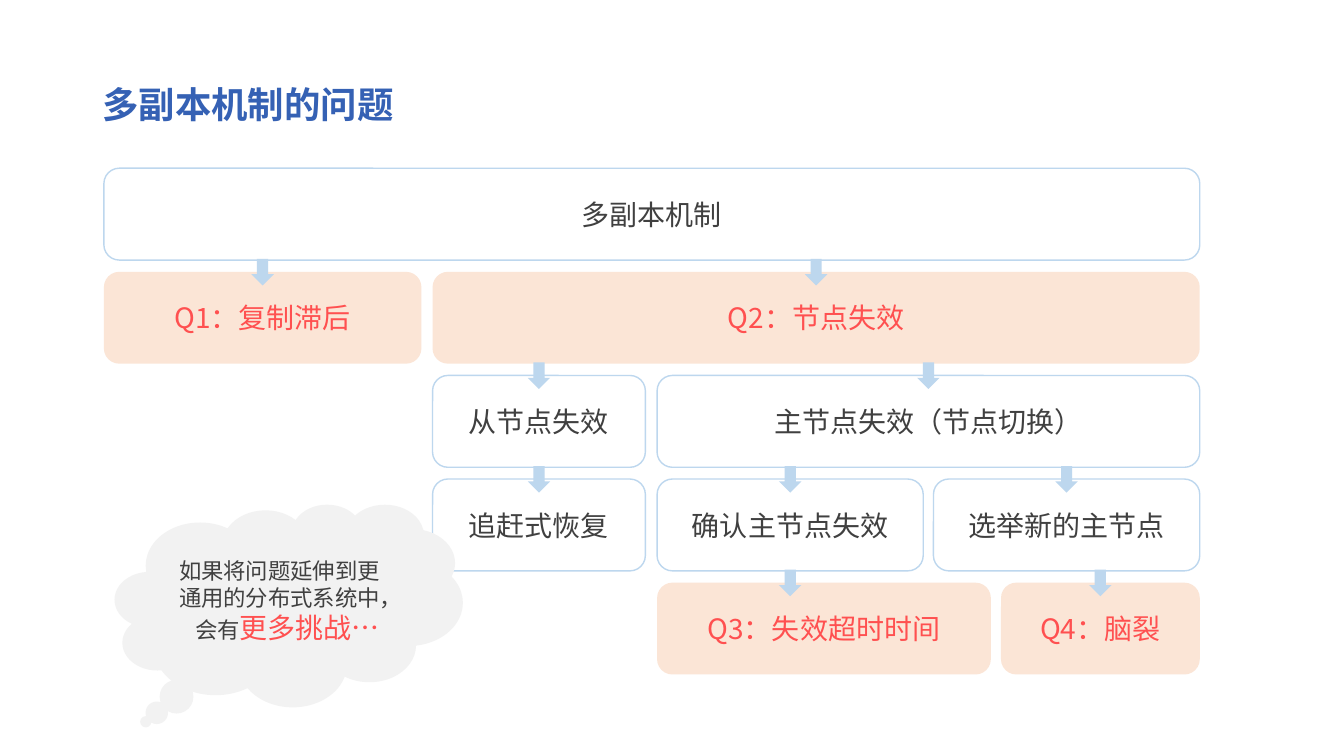
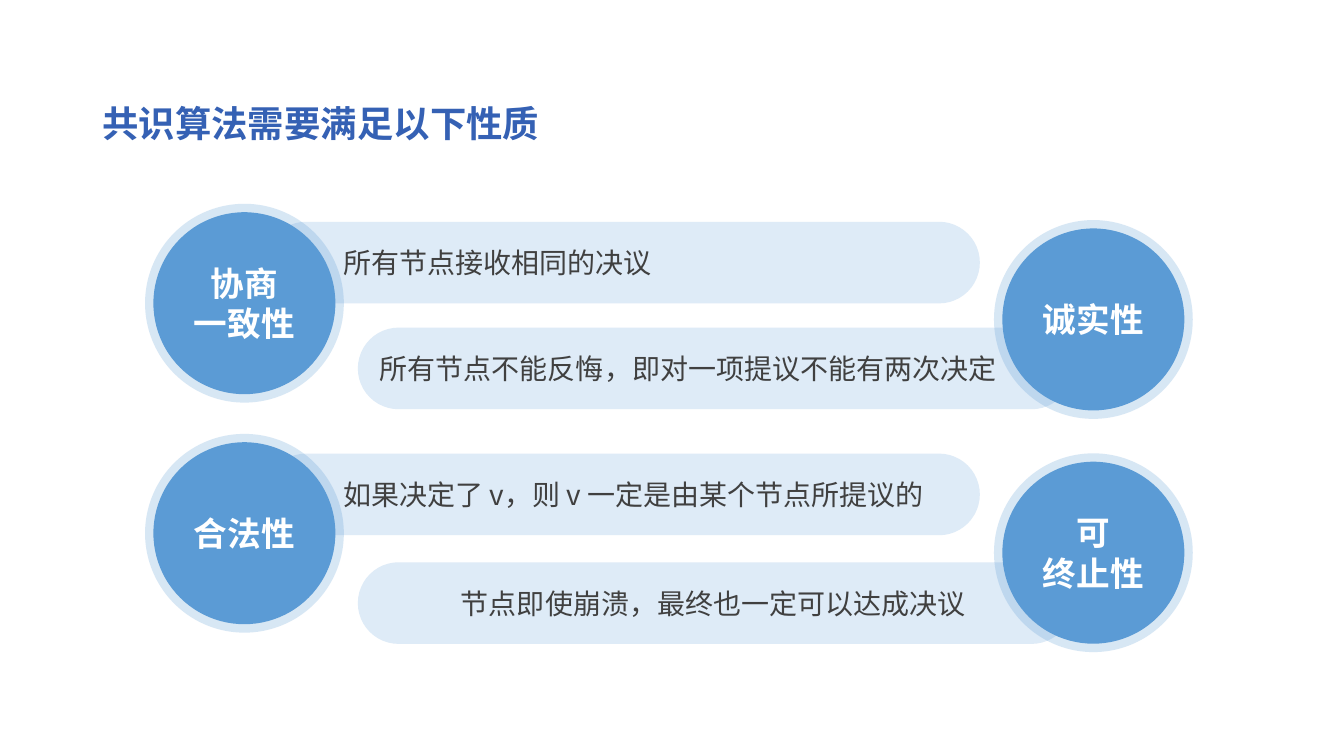
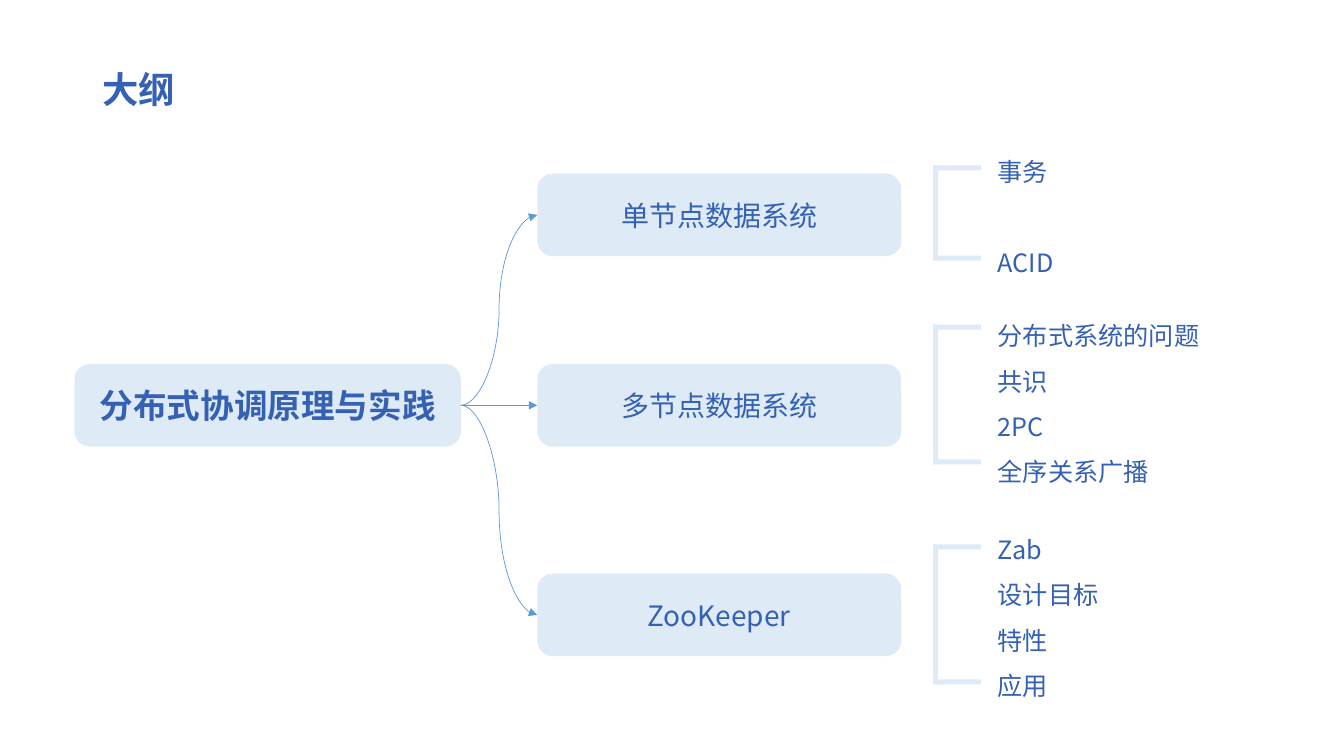
from dataclasses import dataclass

from lxml.etree import SubElement
from pptx import Presentation
from pptx.dml.color import RGBColor
from pptx.enum.shapes import MSO_CONNECTOR, MSO_SHAPE
from pptx.enum.text import MSO_ANCHOR, PP_ALIGN
from pptx.oxml.ns import qn
from pptx.util import Pt


@dataclass(frozen=True)
class Theme:
    font: str = "Noto Sans CJK SC"
    title: str = "3561B4"
    ink: str = "404040"
    alert: str = "FF5050"
    white: str = "FFFFFF"
    blue: str = "5B9BD5"
    sky: str = "BDD7EE"
    pale: str = "DEEBF7"
    peach: str = "FBE5D6"
    cloud: str = "F2F2F2"
    title_size: float = 26
    head_size: float = 24
    body_size: float = 20
    list_size: float = 18
    note_size: float = 16


T = Theme()


def rgb(color):
    return RGBColor.from_string(color)


def style_run(r, size, color, bold=False):
    r.font.name = T.font
    r.font.size = Pt(size)
    r.font.bold = bold
    r.font.color.rgb = rgb(color)
    SubElement(r.font._element, qn("a:ea")).set("typeface", T.font)


def write(sp, text, size, color, bold=False, align=PP_ALIGN.CENTER,
          anchor=MSO_ANCHOR.MIDDLE):
    """Fill a shape with text, one paragraph for each line."""
    tf = sp.text_frame
    tf.word_wrap = True
    tf.vertical_anchor = anchor
    tf.text = text
    for p in tf.paragraphs:
        p.alignment = align
        for r in p.runs:
            style_run(r, size, color, bold)
    return tf


def add_box(shapes, kind, x, y, w, h, fill=None, line=None, adj=()):
    sp = shapes.add_shape(kind, Pt(x), Pt(y), Pt(w), Pt(h))
    sp.shadow.inherit = False
    if fill:
        sp.fill.solid()
        sp.fill.fore_color.rgb = rgb(fill)
    else:
        sp.fill.background()
    if line:
        sp.line.color.rgb = rgb(line)
        sp.line.width = Pt(1)
    else:
        sp.line.fill.background()
    for i, value in enumerate(adj):
        sp.adjustments[i] = value
    return sp


def add_text(s, x, y, w, h, text, size, bold=False):
    sp = s.shapes.add_textbox(Pt(x), Pt(y), Pt(w), Pt(h))
    return write(sp, text, size, T.title, bold, PP_ALIGN.LEFT, MSO_ANCHOR.TOP)


def new_slide(prs, title, y):
    s = prs.slides.add_slide(prs.slide_layouts[6])
    add_text(s, 66, y, 780, 39, title, T.title_size, bold=True)
    return s


def set_alpha(sp, percent):
    color = sp.fill._xPr.find(qn("a:solidFill"))[0]
    SubElement(color, qn("a:alpha")).set("val", str(percent * 1000))


def add_arrow_curve(s, start, end):
    """Join the right side of one box to the left side of another."""
    c = s.shapes.add_connector(MSO_CONNECTOR.CURVE, 0, 0, 0, 0)
    c.begin_connect(start, 3)
    c.end_connect(end, 1)
    c.line.color.rgb = rgb(T.blue)
    c.line.width = Pt(0.5)
    SubElement(c.line._get_or_add_ln(), qn("a:tailEnd")).set("type", "triangle")
    SubElement(c._element.spPr, qn("a:effectLst"))


def add_property(s, text, indent, bar_x, bar_y, label, disc_x, disc_y):
    """Group a pill of text with a ringed disc over one of its ends."""
    shapes = s.shapes.add_group_shape().shapes
    bar = add_box(shapes, MSO_SHAPE.ROUNDED_RECTANGLE, bar_x, bar_y, 510.5, 58.3,
                  T.pale, adj=(0.5,))
    tf = write(bar, text, T.body_size, T.ink, align=PP_ALIGN.LEFT)
    tf.paragraphs[0]._p.get_or_add_pPr().set("marL", str(Pt(indent)))
    ring, disc = 142, 130
    gap = (ring - disc) / 2
    set_alpha(add_box(shapes, MSO_SHAPE.OVAL, disc_x, disc_y, ring, ring, T.blue), 24)
    sp = add_box(shapes, MSO_SHAPE.OVAL, disc_x + gap, disc_y + gap, disc, disc, T.blue)
    write(sp, label, T.head_size, T.white, bold=True)


def add_bracket(s, y, h):
    x, arm, thick = 666.6, 34, 3.6
    for top, w, height in ((y, arm, thick), (y + h - thick, arm, thick), (y, thick, h)):
        add_box(s.shapes, MSO_SHAPE.RECTANGLE, x, top, w, height, T.pale)


def add_node(s, x, y, w, text, size=T.body_size, bold=False):
    sp = add_box(s.shapes, MSO_SHAPE.ROUNDED_RECTANGLE, x, y, w, 59, T.pale, adj=(0.186,))
    write(sp, text, size, T.title, bold)
    return sp


def replica_slide(prs):
    s = new_slide(prs, "多副本机制的问题", 55.4)
    top, pitch, height = 120.2, 74, 65.6
    left, second, third, right = 74.2, 309, 469.4, 857
    follower_end, confirm_end, elect = 461, 659.5, 666.8
    # row, left, right, text, is a question
    stages = [
        (0, left, right, "多副本机制", False),
        (1, left, 301, "Q1：复制滞后", True),
        (1, second, right, "Q2：节点失效", True),
        (2, second, follower_end, "从节点失效", False),
        (2, third, right, "主节点失效（节点切换）", False),
        (3, second, follower_end, "追赶式恢复", False),
        (3, third, confirm_end, "确认主节点失效", False),
        (3, elect, right, "选举新的主节点", False),
        (4, third, 707.8, "Q3：失效超时时间", True),
        (4, 715, right, "Q4：脑裂", True),
    ]
    for row, x1, x2, text, question in stages:
        sp = add_box(s.shapes, MSO_SHAPE.ROUNDED_RECTANGLE, x1, top + row * pitch,
                     x2 - x1, height, T.peach if question else None,
                     None if question else T.sky)
        write(sp, text, T.body_size, T.alert if question else T.ink)

    for row, x1, x2, text, _ in stages[1:]:
        # The Q3 arrow stays under the middle of the narrower box above it
        end = confirm_end if text.startswith("Q3") else x2
        add_box(s.shapes, MSO_SHAPE.DOWN_ARROW, (x1 + end) / 2 - 8,
                top + row * pitch - 9.3, 16, 19, T.sky)

    cloud = add_box(s.shapes, MSO_SHAPE.CLOUD_CALLOUT, 82, 360, 248.5, 144.7,
                    T.cloud, adj=(-0.411, 0.575))
    tf = write(cloud, "如果将问题延伸到更通用的分布式系统中，会有", T.note_size, T.ink,
               align=PP_ALIGN.RIGHT)
    r = tf.paragraphs[0].add_run()
    r.text = "更多挑战…"
    style_run(r, T.body_size, T.alert)


def consensus_slide(prs):
    s = new_slide(prs, "共识算法需要满足以下性质", 69)
    bar_left, bar_right = 189.4, 255.6
    disc_left, disc_right = 103.6, 710
    for prop in (
        ("所有节点接收相同的决议", 40, bar_left, 158.4,
         "协商\n一致性", disc_left, 145.6),
        ("所有节点不能反悔，即对一项提议不能有两次决定", 0, bar_right, 234,
         "诚实性", disc_right, 157.2),
        ("如果决定了 v，则 v 一定是由某个节点所提议的", 40, bar_left, 324,
         "合法性", disc_left, 309.9),
        ("节点即使崩溃，最终也一定可以达成决议", 58, bar_right, 401.6,
         "可\n终止性", disc_right, 323.8),
    ):
        add_property(s, *prop)


def outline_slide(prs):
    s = new_slide(prs, "大纲", 44.6)
    root = add_node(s, 53.2, 260, 276, "分布式协调原理与实践", T.head_size, bold=True)
    line_height = 32.4
    # text, top, bracket top and height, list top, list, gap between items
    for text, y, bracket_y, bracket_h, list_y, items, gap in (
        ("单节点数据系统", 124, 118.2, 68, 97.2, "事务\nACID", line_height),
        ("多节点数据系统", 260, 231.8, 100, 214.6,
         "分布式系统的问题\n共识\n2PC\n全序关系广播", 0),
        ("ZooKeeper", 409.7, 388.8, 100, 367.2, "Zab\n设计目标\n特性\n应用", 0),
    ):
        node = add_node(s, 383.8, y, 260, text)
        add_arrow_curve(s, root, node)
        add_bracket(s, bracket_y, bracket_h)
        tf = add_text(s, 705.6, list_y, 162, bracket_h + 38, items, T.list_size)
        for i, p in enumerate(tf.paragraphs):
            p.line_spacing = 1.5
            if i and gap:
                p.space_before = Pt(gap)


def main():
    prs = Presentation()
    prs.slide_width, prs.slide_height = Pt(960), Pt(540)
    replica_slide(prs)
    consensus_slide(prs)
    outline_slide(prs)
    prs.save("out.pptx")


if __name__ == "__main__":
    main()
